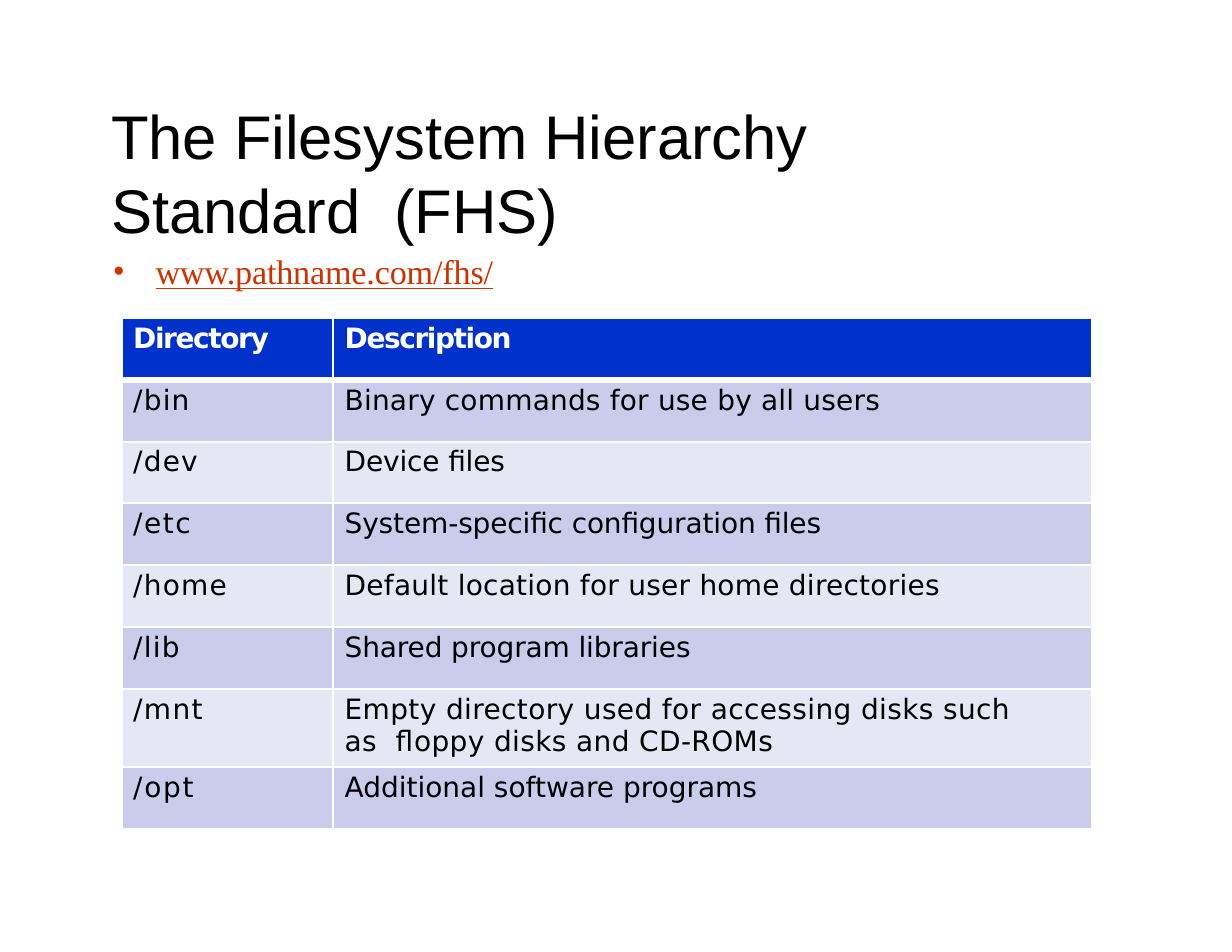
from lxml.etree import SubElement
from pptx import Presentation
from pptx.dml.color import RGBColor
from pptx.enum.text import MSO_ANCHOR, MSO_AUTO_SIZE, PP_ALIGN
from pptx.oxml import parse_xml
from pptx.oxml.ns import nsdecls, qn
from pptx.util import Pt

TITLE = "The Filesystem Hierarchy Standard  (FHS)"
ADDRESS = "www.pathname.com/fhs/"
HEADER = ("Directory", "Description")
HEADER_SPACING = -0.9
DIRECTORIES = [
    ("/bin", 0.8, "Binary commands for use by all users", 0.13),
    ("/dev", 0.8, "Device files", -0.08),
    ("/etc", 1.0, "System-specific configuration files", -0.09),
    ("/home", 0.8, "Default location for user home directories", 0.17),
    ("/lib", 0.8, "Shared program libraries", -0.08),
    ("/mnt", 0.9, "Empty directory used for accessing disks such as  floppy disks and CD-ROMs", 0.25),
    ("/opt", 1.1, "Additional software programs", 0),
]

BLACK = RGBColor(0x00, 0x00, 0x00)
WHITE = RGBColor(0xFF, 0xFF, 0xFF)
RED = RGBColor(0xCC, 0x33, 0x00)
BLUE = RGBColor(0x00, 0x32, 0xCB)
BANDS = (RGBColor(0xCA, 0xCC, 0xEB), RGBColor(0xE6, 0xE7, 0xF5))

COLUMN_WIDTHS = (136, 487.5)
ROW_HEIGHT, TALL_ROW_HEIGHT = 39.75, 50.4
RIGHT_MARGINS = (0, 43)
THIN, THICK = 1.5, 4.25


def format_paragraph(paragraph, font_name, size, color, spacing=0, bold=False, underline=False):
    paragraph.alignment = PP_ALIGN.LEFT
    for run in paragraph.runs:
        font = run.font
        font.name, font.size, font.bold = font_name, Pt(size), bold
        font.underline = underline
        font.color.rgb = color
        run._r.get_or_add_rPr().set("spc", str(round(spacing * 100)))


def prepare_frame(frame, anchor):
    frame.word_wrap = True
    frame.auto_size = MSO_AUTO_SIZE.NONE
    frame.vertical_anchor = anchor
    frame.margin_left = frame.margin_right = frame.margin_bottom = 0
    frame.margin_top = Pt(1)


def add_borders(cell, top, bottom):
    properties = cell._tc.get_or_add_tcPr()
    for index, (side, width) in enumerate(
        (("L", THIN), ("R", THIN), ("T", top), ("B", bottom))
    ):
        line = parse_xml(
            f'<a:ln{side} {nsdecls("a")} w="{Pt(width)}"><a:solidFill>'
            f'<a:srgbClr val="{WHITE}"/></a:solidFill></a:ln{side}>'
        )
        properties.insert(index, line)


def add_title(slide):
    title = slide.shapes.title
    title.left, title.top, title.width, title.height = Pt(71.5), Pt(66), Pt(512.5), Pt(88.5)
    prepare_frame(title.text_frame, MSO_ANCHOR.MIDDLE)
    title.text_frame.text = TITLE
    paragraph = title.text_frame.paragraphs[0]
    paragraph.space_before = Pt(1)
    format_paragraph(paragraph, "Arial", 39.6, BLACK, -0.05)


def add_address(slide):
    box = slide.shapes.add_textbox(Pt(72), Pt(160), Pt(249), Pt(29))
    prepare_frame(box.text_frame, MSO_ANCHOR.TOP)
    box.text_frame.text = ADDRESS
    paragraph = box.text_frame.paragraphs[0]
    paragraph.space_before = Pt(1)
    format_paragraph(paragraph, "Times New Roman", 22, RED, -0.1, underline=True)
    properties = paragraph._p.get_or_add_pPr()
    properties.set("marL", str(Pt(28)))
    properties.set("indent", str(Pt(-27.4)))
    SubElement(properties, qn("a:buFont"), typeface="Times New Roman")
    SubElement(properties, qn("a:buChar"), char="•")


def add_directory_table(slide):
    heights = [ROW_HEIGHT] + [
        TALL_ROW_HEIGHT if name == "/mnt" else ROW_HEIGHT for name, *_ in DIRECTORIES
    ]
    table = slide.shapes.add_table(
        len(heights), len(HEADER), Pt(78.4), Pt(204.4), Pt(sum(COLUMN_WIDTHS)), Pt(sum(heights))
    ).table
    for column, width in zip(table.columns, COLUMN_WIDTHS):
        column.width = Pt(width)
    entries = [(HEADER[0], HEADER_SPACING, HEADER[1], HEADER_SPACING)] + DIRECTORIES
    for row, (height, entry) in enumerate(zip(heights, entries)):
        table.rows[row].height = Pt(height)
        is_header = row == 0
        for column in range(len(HEADER)):
            text, spacing = entry[2 * column:2 * column + 2]
            cell = table.cell(row, column)
            cell.margin_left, cell.margin_right = Pt(7.2), Pt(RIGHT_MARGINS[column])
            cell.margin_top, cell.margin_bottom = Pt(2.8), 0
            cell.fill.solid()
            cell.fill.fore_color.rgb = BLUE if is_header else BANDS[(row - 1) % 2]
            add_borders(cell, THICK if row == 1 else THIN, THICK if is_header else THIN)
            cell.text_frame.text = text
            format_paragraph(
                cell.text_frame.paragraphs[0], "DejaVu Sans", 18,
                WHITE if is_header else BLACK, spacing, bold=is_header,
            )


def main():
    presentation = Presentation()
    presentation.slide_width, presentation.slide_height = Pt(792), Pt(612)
    slide = presentation.slides.add_slide(presentation.slide_layouts[5])
    add_title(slide)
    add_address(slide)
    add_directory_table(slide)
    presentation.save("out.pptx")


if __name__ == "__main__":
    main()
